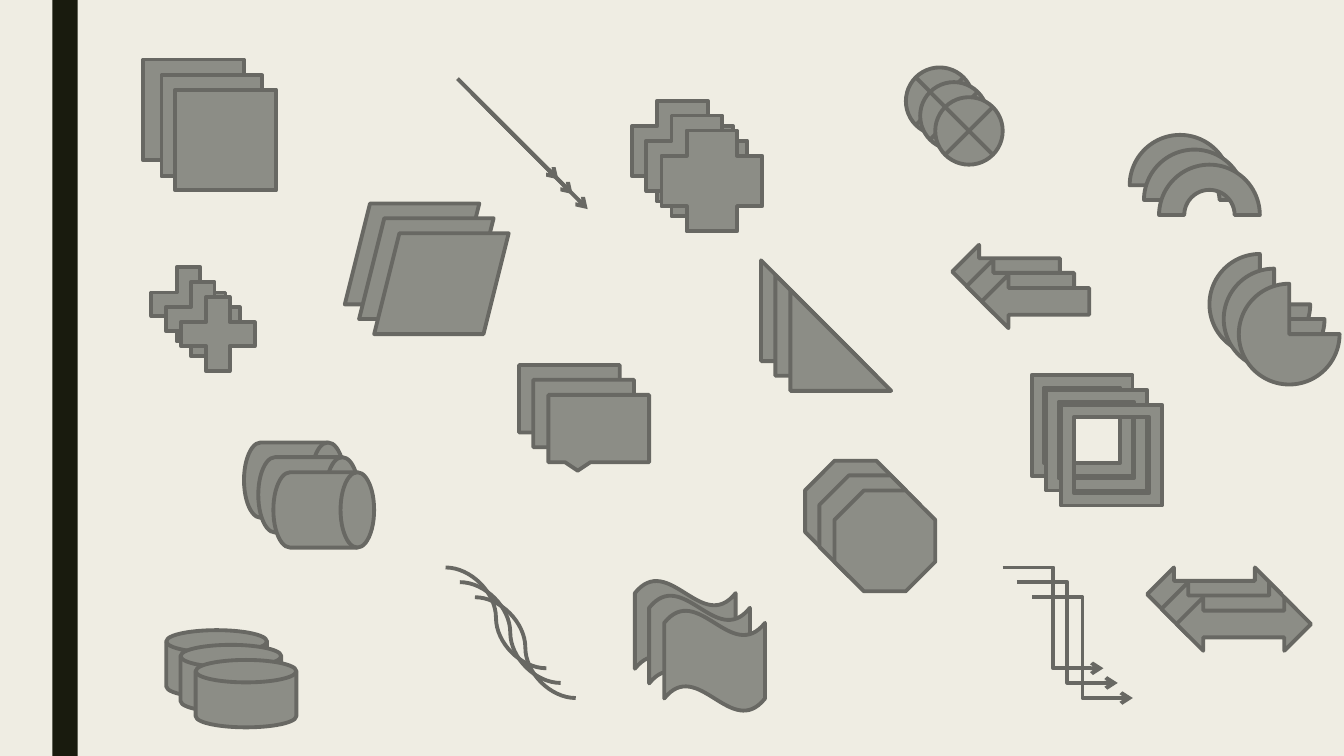
from lxml import etree
from pptx import Presentation
from pptx.dml.color import RGBColor
from pptx.enum.shapes import MSO_CONNECTOR, MSO_SHAPE
from pptx.oxml.ns import qn
from pptx.util import Cm, Pt

RECT = MSO_SHAPE.RECTANGLE
JUNCTION = MSO_SHAPE.FLOWCHART_SUMMING_JUNCTION
DRUM = MSO_SHAPE.FLOWCHART_DIRECT_ACCESS_STORAGE
DISK = MSO_SHAPE.FLOWCHART_MAGNETIC_DISK
PARALLELOGRAM = MSO_SHAPE.PARALLELOGRAM
FRAME = MSO_SHAPE.FRAME
CROSS = MSO_SHAPE.CROSS
MATH_PLUS = MSO_SHAPE.MATH_PLUS
BLOCK_ARC = MSO_SHAPE.BLOCK_ARC
LEFT_ARROW = MSO_SHAPE.LEFT_ARROW
LEFT_RIGHT_ARROW = MSO_SHAPE.LEFT_RIGHT_ARROW
CALLOUT = MSO_SHAPE.RECTANGULAR_CALLOUT
OCTAGON = MSO_SHAPE.OCTAGON
TRIANGLE = MSO_SHAPE.RIGHT_TRIANGLE
WAVE = MSO_SHAPE.WAVE
PIE = MSO_SHAPE.PIE
STRAIGHT = MSO_CONNECTOR.STRAIGHT
CURVE = MSO_CONNECTOR.CURVE
ELBOW = MSO_CONNECTOR.ELBOW

PAPER, BAR, GREY, EDGE = "EFEDE3", "191B0E", "8C8D86", "686863"
UNIT = 2.54
STEPS = [(0, 0), (0.36, 0.37), (0.74, 0.75)]
RECT_STEPS = [(0, 0), (0.46, 0.4), (0.81, 0.76)]


def paint(fmt, color):
    fmt.solid()
    fmt.fore_color.rgb = RGBColor.from_string(color)


def outline(line):
    paint(line.fill, EDGE)
    line.width = Pt(2.75)


prs = Presentation()
prs.slide_width, prs.slide_height = Cm(33.87), Cm(19.05)
s = prs.slides.add_slide(prs.slide_layouts[6])
paint(s.background.fill, PAPER)

bar = s.shapes.add_shape(RECT, Cm(1.32), 0, Cm(0.64), prs.slide_height)
bar.shadow.inherit = False
paint(bar.fill, BAR)
bar.line.fill.background()

shape_stacks = [
    (RECT, 3.61, 1.5, UNIT, UNIT),
    (JUNCTION, 22.83, 1.7, 1.7, 1.7),
    (DRUM, 6.15, 11.15, UNIT, 1.9),
    (PARALLELOGRAM, 8.69, 5.13, 3.39, UNIT),
    (FRAME, 26, 9.45, UNIT, UNIT),
    (CROSS, 15.93, 2.54, UNIT, UNIT),
    (BLOCK_ARC, 28.47, 3.4, UNIT, UNIT),
    (LEFT_ARROW, 24, 6.17, 2.71, 1.35),
    (CALLOUT, 13.08, 9.2, UNIT, 1.7),
    (OCTAGON, 20.29, 11.61, UNIT, UNIT),
    (DISK, 4.19, 15.88, UNIT, 1.7),
    (MATH_PLUS, 3.48, 6.4, UNIT, UNIT),
    (TRIANGLE, 19.18, 6.56, UNIT, UNIT),
    (WAVE, 16, 14.63, UNIT, UNIT),
    (LEFT_RIGHT_ARROW, 28.91, 14.3, 3.39, 1.35),
    (PIE, 30.48, 6.4, UNIT, UNIT),
]
for kind, x, y, w, h in shape_stacks:
    for dx, dy in RECT_STEPS if kind == RECT else STEPS:
        sp = s.shapes.add_shape(kind, Cm(x + dx), Cm(y + dy), Cm(w), Cm(h))
        sp.shadow.inherit = False
        paint(sp.fill, GREY)
        outline(sp.line)

connector_stacks = [
    (STRAIGHT, 11.53, 1.98, True),
    (CURVE, 11.23, 14.3, False),
    (ELBOW, 25.27, 14.3, True),
]
for kind, x, y, has_arrow in connector_stacks:
    for dx, dy in STEPS:
        left, top = x + dx, y + dy
        cx = s.shapes.add_connector(
            kind, Cm(left), Cm(top), Cm(left + UNIT), Cm(top + UNIT)
        )
        outline(cx.line)
        if has_arrow:
            ln = cx.line._get_or_add_ln()
            etree.SubElement(ln, qn("a:tailEnd"), type="arrow")
        etree.SubElement(cx._element.spPr, qn("a:effectLst"))

prs.save("out.pptx")
